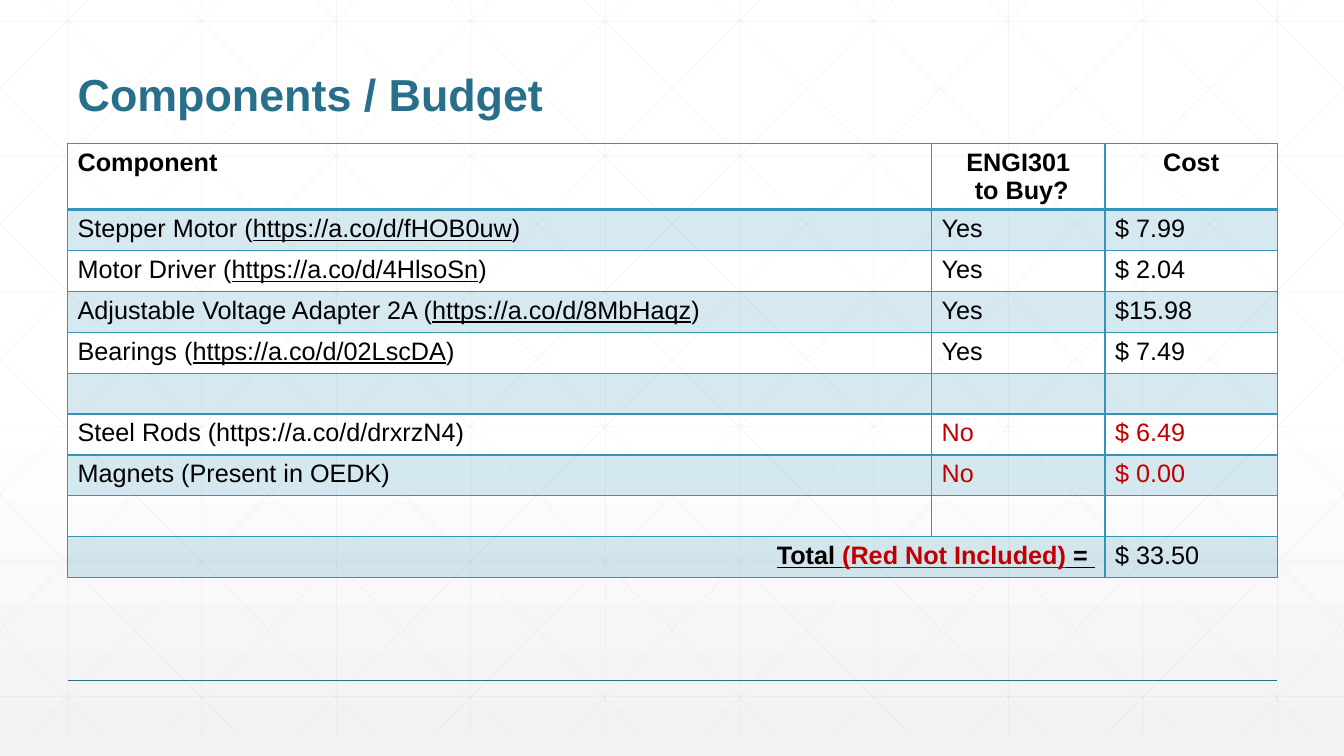
from copy import deepcopy

from lxml import etree
from pptx import Presentation
from pptx.dml.color import RGBColor
from pptx.enum import shapes, text
from pptx.oxml import ns
from pptx.util import Inches, Pt

FONT = "Arial"
BLACK, RED, TEAL, BLUE, GRAY = "000000", "C00000", "276F8B", "3494BA", "D9D9D9"
SLIDE_WIDTH = 13.33
GRID_TOP, GRID_BOTTOM = -0.21, 7.29
GRID_STEP = 4 / 3
LEFT, WIDTH = 0.67, 12

# Component, link, bought for the course, cost, cost colour
COMPONENTS = [
    ("Stepper Motor (", "https://a.co/d/fHOB0uw", ")", "Yes", "$ 7.99", BLACK),
    ("Motor Driver (", "https://a.co/d/4HlsoSn", ")", "Yes", "$ 2.04", BLACK),
    ("Adjustable Voltage Adapter 2A (", "https://a.co/d/8MbHaqz", ")", "Yes", "$15.98", BLACK),
    ("Bearings (", "https://a.co/d/02LscDA", ")", "Yes", "$ 7.49", BLACK),
    None,
    ("Steel Rods (https://a.co/d/drxrzN4)", "", "", "No", "$ 6.49", RED),
    ("Magnets (Present in OEDK)", "", "", "No", "$ 0.00", RED),
    None,
]


def rgb(color):
    return RGBColor.from_string(color)


def set_alpha(parent, percent):
    """Make the solid colour inside parent partly transparent."""
    color = next(parent.iter(ns.qn("a:srgbClr")))
    etree.SubElement(color, ns.qn("a:alpha")).set("val", str(percent * 1000))


def set_background(slide):
    fill = slide.background.fill
    fill.gradient()
    fill.gradient_angle = 270
    first = fill.gradient_stops[0]
    first.color.rgb = rgb("FFFFFF")
    last = fill.gradient_stops[1]
    last.color.rgb = rgb("F2F2F2")
    stop_list = next(slide.background._cSld.iter(ns.qn("a:gsLst")))
    middle = deepcopy(stop_list[0])
    middle.set("pos", "53000")
    stop_list.insert(1, middle)


def add_line(slide, start, end, color, width, alpha=None):
    points = [Inches(value) for value in (*start, *end)]
    line = slide.shapes.add_connector(shapes.MSO_CONNECTOR.STRAIGHT, *points)
    line.line.color.rgb = rgb(color)
    line.line.width = Pt(width)
    properties = line._element.spPr
    etree.SubElement(properties, ns.qn("a:effectLst"))
    if alpha:
        set_alpha(properties, alpha)


def add_grid(slide):
    def add_grid_line(start, end):
        add_line(slide, start, end, GRAY, 0.5, 25)

    for column in range(10):
        x = LEFT + column * GRID_STEP
        add_grid_line((x, GRID_TOP), (x, GRID_BOTTOM))
    for row in range(6):
        y = 0.21 + row * 1.34
        add_grid_line((0, y), (SLIDE_WIDTH, y))

    # Diagonals cut at the slide's sides, each with its mirror line
    run = 7.45
    slope = (GRID_BOTTOM - GRID_TOP) / run
    for index in range(-5, 10):
        x = 0.25 + index * GRID_STEP
        x1, x2 = max(x, 0), min(x + run, SLIDE_WIDTH)
        y1, y2 = (GRID_TOP + (side - x) * slope for side in (x1, x2))
        add_grid_line((x1, y1), (x2, y2))
        add_grid_line((SLIDE_WIDTH - x1, y1), (SLIDE_WIDTH - x2, y2))


def style_run(run, size, color=BLACK, bold=False, underline=False):
    font = run.font
    font.name, font.size, font.bold = FONT, Pt(size), bold
    font.underline = underline
    font.color.rgb = rgb(color)


def set_title(slide, title_text):
    title = slide.shapes.title
    title.left, title.top = Inches(LEFT), Inches(0.25)
    title.width, title.height = Inches(WIDTH), Inches(1)
    frame = title.text_frame
    frame.text = title_text
    frame.vertical_anchor = text.MSO_ANCHOR.BOTTOM
    paragraph = frame.paragraphs[0]
    paragraph.alignment = text.PP_ALIGN.LEFT
    paragraph.line_spacing = 0.9
    style_run(paragraph.runs[0], 32, TEAL, bold=True)
    slide.shapes._spTree.append(title._element)  # bring in front of the grid


def write_cell(cell, runs, align=text.PP_ALIGN.LEFT, **style):
    """Write (text, style) runs into the cell's first paragraph."""
    paragraph = cell.text_frame.paragraphs[0]
    paragraph.alignment = align
    for run_text, run_style in runs:
        run = paragraph.add_run()
        run.text = run_text
        style_run(run, 18, **{**style, **run_style})


def write_header(cell, header, align):
    cell.text_frame.text = header
    for paragraph in cell.text_frame.paragraphs:
        paragraph.alignment = align
        style_run(paragraph.runs[0], 18, bold=True)


def format_cell(cell, shaded, bottom_width):
    properties = cell._tc.get_or_add_tcPr()
    for side in ("L", "R", "T", "B"):
        border = etree.SubElement(properties, ns.qn(f"a:ln{side}"))
        border.set("w", str(Pt(bottom_width if side == "B" else 1)))
        solid = etree.SubElement(border, ns.qn("a:solidFill"))
        etree.SubElement(solid, ns.qn("a:srgbClr")).set("val", BLUE)
    if shaded:
        cell.fill.solid()
        cell.fill.fore_color.rgb = rgb(BLUE)
        set_alpha(properties.find(ns.qn("a:solidFill")), 20)
    else:
        cell.fill.background()


def add_budget_table(slide):
    row_count = len(COMPONENTS) + 2
    header_height, body_height = 0.66, 3.65
    frame = slide.shapes.add_table(row_count, 3, Inches(LEFT), Inches(1.42), Inches(WIDTH),
                                   Inches(header_height + body_height))
    table = frame.table
    for column, width in zip(table.columns, (8.57, 1.72, 1.71)):
        column.width = Inches(width)
    for index, row in enumerate(table.rows):
        row.height = Inches(body_height / (row_count - 1) if index else header_height)
        for cell in row.cells:
            format_cell(cell, shaded=index % 2 == 1, bottom_width=1 if index else 2)

    # Header row
    align = text.PP_ALIGN
    headers = [("Component", align.LEFT), ("ENGI301\n to Buy?", align.CENTER), ("Cost", align.CENTER)]
    for column, (header, alignment) in enumerate(headers):
        write_header(table.cell(0, column), header, alignment)

    # Component rows
    for row, component in enumerate(COMPONENTS, start=1):
        if component is None:
            continue
        name, link, closing, bought, cost, color = component
        runs = [(name, {}), (link, {"underline": True}), (closing, {})]
        write_cell(table.cell(row, 0), [run for run in runs if run[0]])
        write_cell(table.cell(row, 1), [(bought, {})], color=color)
        write_cell(table.cell(row, 2), [(cost, {})], color=color)

    # Total row
    last = row_count - 1
    table.cell(last, 0).merge(table.cell(last, 1))
    total = [("Total ", {}), ("(Red Not Included)", {"color": RED}), (" = ", {})]
    write_cell(table.cell(last, 0), total, align.RIGHT, bold=True, underline=True)
    write_cell(table.cell(last, 2), [("$ 33.50", {})])


def main():
    presentation = Presentation()
    presentation.slide_width = Inches(SLIDE_WIDTH)
    presentation.slide_height = Inches(7.5)
    slide = presentation.slides.add_slide(presentation.slide_layouts[5])
    set_background(slide)
    add_grid(slide)
    add_line(slide, (LEFT, 6.75), (LEFT + WIDTH, 6.75), TEAL, 1)
    set_title(slide, "Components / Budget")
    add_budget_table(slide)
    presentation.save("out.pptx")


if __name__ == "__main__":
    main()
